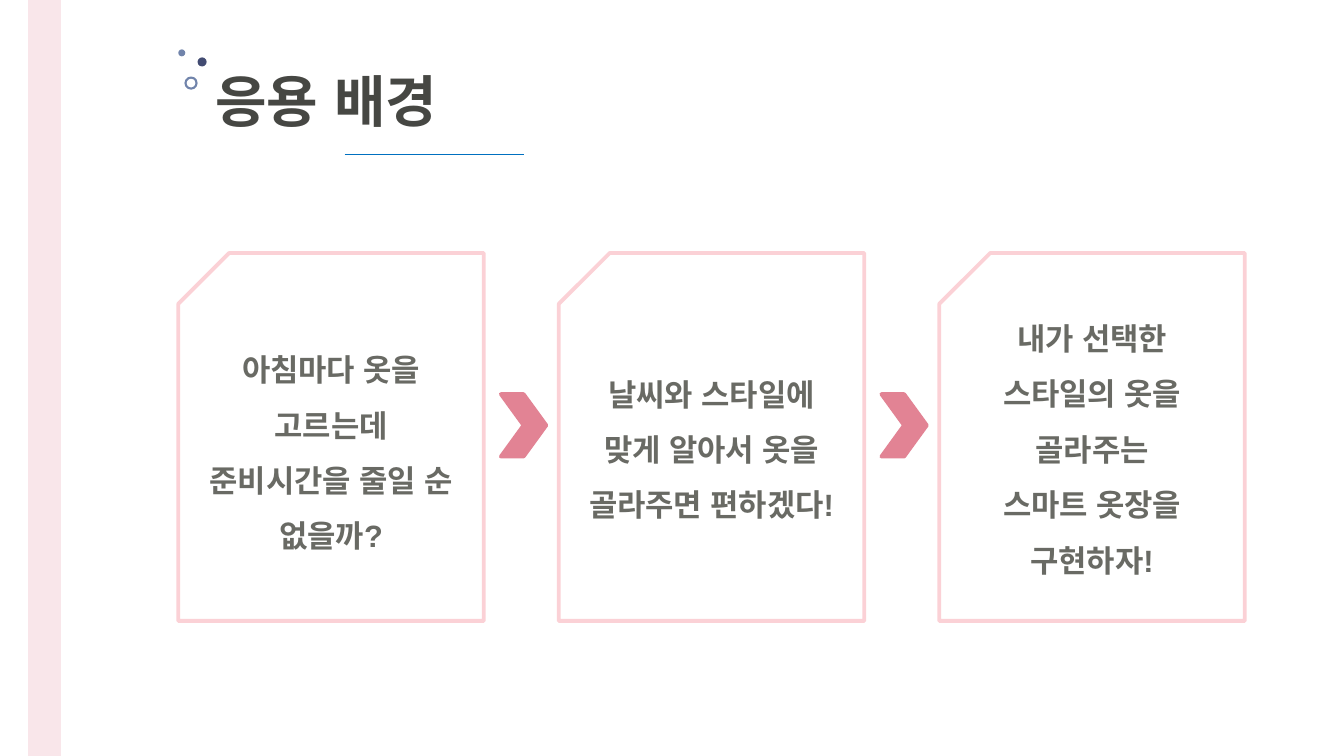
import dataclasses

import pptx
import pptx.dml.color
import pptx.enum.lang
import pptx.enum.shapes
import pptx.enum.text
import pptx.oxml
import pptx.oxml.ns
import pptx.util

Pt = pptx.util.Pt
SHAPES = pptx.enum.shapes.MSO_SHAPE
ALIGN = pptx.enum.text.PP_ALIGN


@dataclasses.dataclass(frozen=True)
class Theme:
    band: str = "F9E6EA"
    card: str = "FBD1D6"
    chevron: str = "E28394"
    dot: str = "7184AB"
    dark_dot: str = "424B72"
    rule: str = "0070C0"
    title: str = "464743"
    body: str = "696A64"
    title_font: str = "Noto Sans CJK KR"
    body_font: str = "Arial"
    title_size: float = 40
    body_size: float = 22
    outline: float = 2.75


THEME = Theme()
CARD_LEFT, CARD_TOP, CARD_WIDTH, CARD_HEIGHT = 127.4, 180.7, 218.2, 262.8
CARD_PITCH = 271.8
CHEVRON_LEFT = 357.8

# Text top, text width, text height, paragraphs
CARDS = [
    (234, 198.7, 161.3, ["아침마다 옷을 고르는데 준비시간을 줄일 순 없을까?"]),
    (251.3, 204.5, 121, ["날씨와 스타일에", "맞게 알아서 옷을", "골라주면 편하겠다!"]),
    (211.7, 198.7, 200.9, ["내가 선택한 스타일의 옷을 골라주는", "스마트 옷장을 구현하자!"]),
]


def color(value):
    return pptx.dml.color.RGBColor.from_string(value)


def add_element(parent, tag, **attributes):
    element = pptx.oxml.parse_xml(f"<a:{tag} {pptx.oxml.ns.nsdecls('a')}/>")
    for name, value in attributes.items():
        element.set(name, value)
    parent.append(element)


def add_shape(shapes, kind, box, fill=None, line=None, width=THEME.outline):
    shape = shapes.add_shape(kind, *map(Pt, box))
    shape.shadow.inherit = False
    if fill:
        shape.fill.solid()
        shape.fill.fore_color.rgb = color(fill)
    else:
        shape.fill.background()
    if line:
        shape.line.color.rgb = color(line)
        shape.line.width = Pt(width)
        add_element(shape.line._get_or_add_ln(), "round")
    else:
        shape.line.fill.background()
    return shape


def add_text(slide, box, paragraphs, font_name, size, text_color, **layout):
    frame = slide.shapes.add_textbox(*map(Pt, box)).text_frame
    frame.word_wrap = True
    frame.auto_size = pptx.enum.text.MSO_AUTO_SIZE.SHAPE_TO_FIT_TEXT
    font_format = {
        "name": font_name,
        "size": Pt(size),
        "bold": True,
        "language_id": pptx.enum.lang.MSO_LANGUAGE_ID.KOREAN,
    }
    for index, text in enumerate(paragraphs):
        paragraph = frame.add_paragraph() if index else frame.paragraphs[0]
        for name, value in layout.items():
            setattr(paragraph, name, value)
        run = paragraph.add_run()
        run.text = text
        for name, value in font_format.items():
            setattr(run.font, name, value)
        run.font.color.rgb = color(text_color)
        add_element(run._r.get_or_add_rPr(), "ea", typeface=font_name)


def add_heading(slide):
    add_text(slide, (146.9, 43.9, 295.9, 55.4), ["응용 배경"],
             THEME.title_font, THEME.title_size, THEME.title)
    dots = slide.shapes.add_group_shape().shapes
    add_shape(dots, SHAPES.OVAL, (127.4, 35.3, 5, 5), fill=THEME.dot)
    add_shape(dots, SHAPES.OVAL, (132.5, 55.4, 7.9, 7.9), line=THEME.dot, width=1.5)
    add_shape(dots, SHAPES.OVAL, (141.1, 41, 6.5, 6.5), fill=THEME.dark_dot)

    rule = slide.shapes.add_connector(
        pptx.enum.shapes.MSO_CONNECTOR.STRAIGHT, *map(Pt, (246.2, 110.2, 374.4, 110.2)))
    rule.line.color.rgb = color(THEME.rule)
    rule.line.width = Pt(0.5)
    add_element(rule._element.spPr, "effectLst")


def add_card(slide, left, text_top, text_width, text_height, paragraphs):
    """Add an outlined card, cut at its top left corner, with centred text."""
    card = add_shape(slide.shapes, SHAPES.SNIP_1_RECTANGLE,
                     (left, CARD_TOP, CARD_WIDTH, CARD_HEIGHT), line=THEME.card)
    card._element.spPr.get_or_add_xfrm().set("flipH", "1")
    text_left = left + (CARD_WIDTH - text_width) / 2
    add_text(slide, (text_left, text_top, text_width, text_height), paragraphs,
             THEME.body_font, THEME.body_size, THEME.body,
             alignment=ALIGN.CENTER, line_spacing=1.5)


def main():
    presentation = pptx.Presentation()
    presentation.slide_width = Pt(960)
    presentation.slide_height = Pt(540)
    slide = presentation.slides.add_slide(presentation.slide_layouts[6])

    add_heading(slide)
    for index, card in enumerate(CARDS):
        add_card(slide, CARD_LEFT + index * CARD_PITCH, *card)
    for index in range(len(CARDS) - 1):
        add_shape(slide.shapes, SHAPES.CHEVRON,
                  (CHEVRON_LEFT + index * CARD_PITCH, 281.5, 32.4, 44.6),
                  fill=THEME.chevron, line=THEME.chevron)
    add_shape(slide.shapes, SHAPES.RECTANGLE, (21.6, 0, 20.9, 540),
              fill=THEME.band, line=THEME.band)

    presentation.save("out.pptx")


if __name__ == "__main__":
    main()
